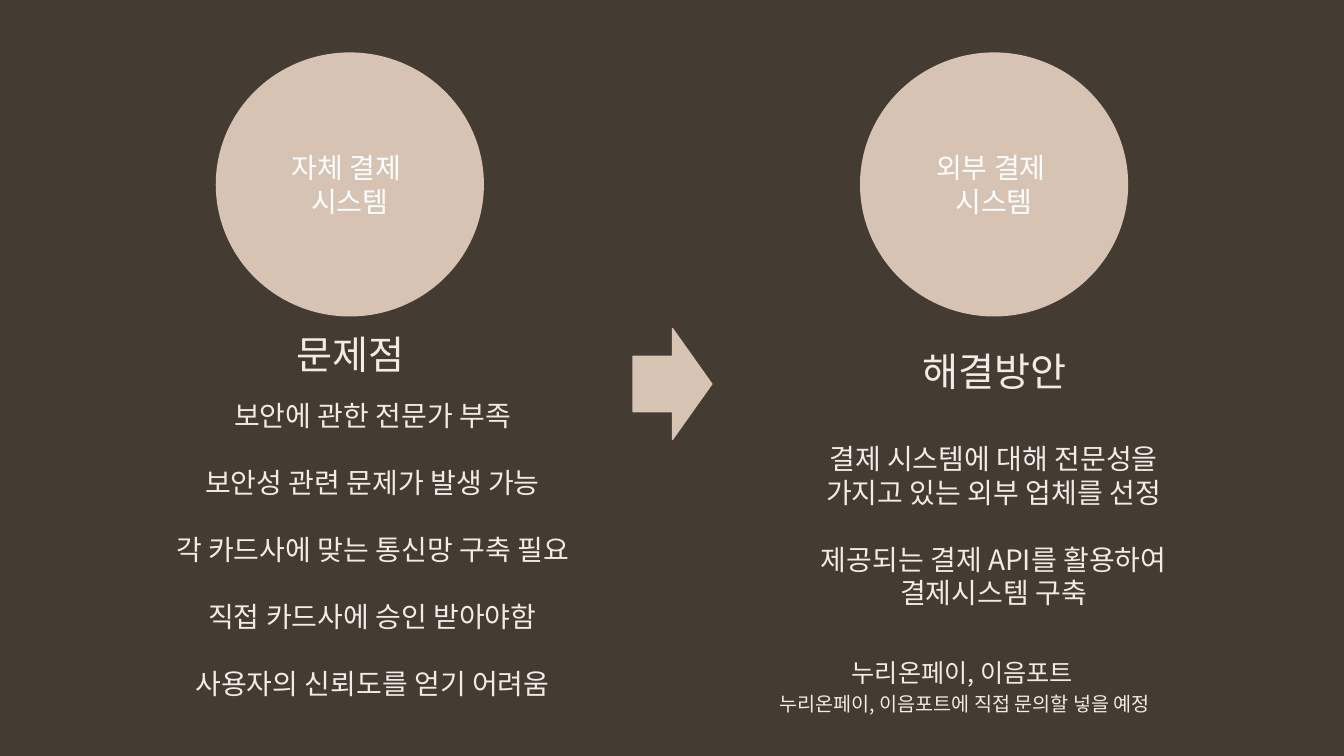
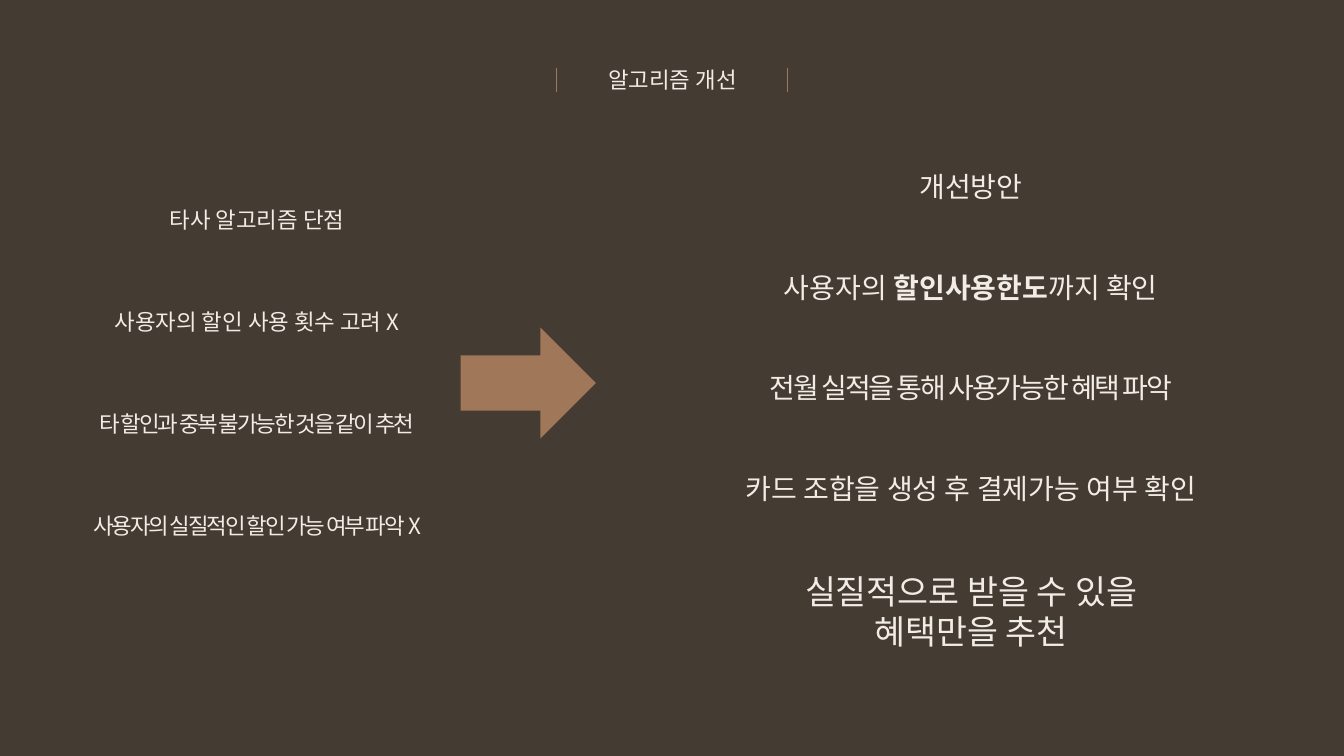
from dataclasses import dataclass, field

import pptx
import pptx.dml.color
import pptx.enum.shapes
import pptx.enum.text
import pptx.oxml
import pptx.oxml.ns
import pptx.util

Inches = pptx.util.Inches
Pt = pptx.util.Pt
KIND = pptx.enum.shapes.MSO_SHAPE
ALIGN = pptx.enum.text.PP_ALIGN
ANCHOR = pptx.enum.text.MSO_ANCHOR

BACK, SAND, CLAY, CREAM, WHITE = "443B32", "D6C3B4", "A07759", "F1ECE6", "FFFFFF"
KOREAN = "Noto Sans CJK KR"
LEADING = 1.2


def tint(code: str) -> pptx.dml.color.RGBColor:
    return pptx.dml.color.RGBColor.from_string(code)


@dataclass
class Style:
    size: float = 20
    color: str = CREAM
    face: str = KOREAN
    track: float = 0
    gap: float = 0
    align: ALIGN = ALIGN.CENTER


@dataclass
class Label:
    left: float
    top: float
    width: float
    height: float
    lines: tuple[str, ...]
    style: Style = field(default_factory=Style)
    wrap: bool = True


@dataclass
class Figure:
    kind: KIND
    left: float
    top: float
    width: float
    height: float
    fill: str
    line: str | None = None
    lines: tuple[str, ...] = ()


def place(item: Label | Figure) -> list:
    return [Inches(v) for v in (item.left, item.top, item.width, item.height)]


def write(frame, lines: tuple[str, ...], style: Style) -> None:
    """Write one paragraph per line; text between asterisks is bold."""
    for row, line in enumerate(lines):
        para = frame.paragraphs[0] if row == 0 else frame.add_paragraph()
        form = {"alignment": style.align, "line_spacing": Pt(style.size * LEADING),
                "space_after": Pt(style.gap)}
        for key, value in form.items():
            setattr(para, key, value)
        for turn, part in enumerate(line.split("*")):
            run = para.add_run()
            run.text = part
            form = {"size": Pt(style.size), "name": style.face, "bold": turn % 2 == 1}
            for key, value in form.items():
                setattr(run.font, key, value)
            run.font.color.rgb = tint(style.color)
            props = run._r.get_or_add_rPr()
            if style.track:
                props.set("spc", str(round(style.track * 100)))
            east = pptx.oxml.parse_xml(f'<a:ea {pptx.oxml.ns.nsdecls("a")} typeface="{KOREAN}"/>')
            props.find(pptx.oxml.ns.qn("a:latin")).addnext(east)


def draw_label(slide, item: Label) -> None:
    frame = slide.shapes.add_textbox(*place(item)).text_frame
    frame.word_wrap = item.wrap
    write(frame, item.lines, item.style)


def draw_figure(slide, item: Figure) -> None:
    shape = slide.shapes.add_shape(item.kind, *place(item))
    shape.shadow.inherit = False
    shape.fill.solid()
    shape.fill.fore_color.rgb = tint(item.fill)
    if item.line:
        shape.line.color.rgb = tint(item.line)
        shape.line.width = Pt(1)
    else:
        shape.line.fill.background()
    shape.text_frame.vertical_anchor = ANCHOR.MIDDLE
    write(shape.text_frame, item.lines, Style(color=WHITE))


def draw_rule(slide, x: float, top: float, end: float) -> None:
    rule = slide.shapes.add_connector(pptx.enum.shapes.MSO_CONNECTOR.STRAIGHT,
                                      Inches(x), Inches(top), Inches(x), Inches(end))
    rule.line.color.rgb = tint(CLAY)
    rule.line.width = Pt(1.25)
    flat = pptx.oxml.parse_xml(f'<a:effectLst {pptx.oxml.ns.nsdecls("a")}/>')
    rule._element.spPr.append(flat)


def draw_stack(slide, left: float, top: float, pitch: float, size: float,
               rows: list[tuple[str, float]]) -> None:
    """Draw evenly spaced lines, each given with its letter spacing."""
    for row, (line, track) in enumerate(rows):
        draw_label(slide, Label(left, top + row * pitch, 4.96, 0.44, (line,),
                                Style(size=size, track=track)))


def build_payment(slide) -> None:
    head = Style(size=28)
    faults = ("보안에 관한 전문가 부족", "보안성 관련 문제가 발생 가능",
              "각 카드사에 맞는 통신망 구축 필요", "직접 카드사에 승인 받아야함",
              "사용자의 신뢰도를 얻기 어려움")
    for left, name in ((2.14, "자체 결제 "), (8.53, "외부 결제 ")):
        draw_figure(slide, Figure(KIND.OVAL, left, 0.52, 2.66, 2.62, SAND,
                                  lines=(name, "시스템")))
    draw_figure(slide, Figure(KIND.RIGHT_ARROW, 6.28, 3.26, 0.78, 1.1, SAND, SAND))
    for item in (
        Label(2.83, 3.23, 1.29, 0.57, ("문제점",), head, False),
        Label(9.02, 3.4, 1.68, 0.57, ("해결방안",), head, False),
        Label(1.56, 3.9, 4.27, 3.13, faults, Style(gap=24)),
        Label(7.94, 4.33, 3.83, 0.8,
              ("결제 시스템에 대해 전문성을", "가지고 있는 외부 업체를 선정")),
        Label(7.94, 5.33, 3.83, 0.8, ("제공되는 결제 API를 활용하여", "결제시스템 구축")),
        Label(7.9, 6.47, 3.29, 0.4, ("누리온페이, 이음포트",), Style(size=18)),
        Label(7.63, 6.82, 4.01, 0.34, ("누리온페이, 이음포트에 직접 문의할 넣을 예정",),
              Style(size=14, align=ALIGN.LEFT)),
    ):
        draw_label(slide, item)


def build_method(slide) -> None:
    draw_label(slide, Label(5.87, 0.61, 1.6, 0.37, ("알고리즘 개선",),
                            Style(size=16, face="Noto Sans"), False))
    for x in (5.52, 7.81):
        draw_rule(slide, x, 0.67, 0.91)
    draw_figure(slide, Figure(KIND.RIGHT_ARROW, 4.57, 3.25, 1.34, 1.1, CLAY))
    draw_stack(slide, 0.07, 2, 1.01, 16, [
        ("타사 알고리즘 단점", 0),
        ("사용자의 할인 사용 횟수 고려 X", 0),
        ("타 할인과 중복 불가능한 것을 같이 추천", -1.5),
        ("사용자의 실질적인 할인 가능 여부 파악 X", -1.5),
    ])
    draw_stack(slide, 7.15, 1.63, 1, 20, [
        ("개선방안", 0),
        ("사용자의 *할인사용한도*까지 확인", 0),
        ("전월 실적을 통해 사용가능한 혜택 파악", -1.5),
        ("카드 조합을 생성 후 결제가능 여부 확인", 0),
    ])
    draw_label(slide, Label(7.49, 5.61, 4.28, 0.91,
                            ("실질적으로 받을 수 있을", "혜택만을 추천"), Style(size=24)))


def main() -> None:
    deck = pptx.Presentation()
    deck.slide_width, deck.slide_height = Inches(13.33), Inches(7.5)
    ground = deck.slide_master.background.fill
    ground.solid()
    ground.fore_color.rgb = tint(BACK)
    for build in (build_payment, build_method):
        build(deck.slides.add_slide(deck.slide_layouts[6]))
    deck.save("out.pptx")


if __name__ == "__main__":
    main()
